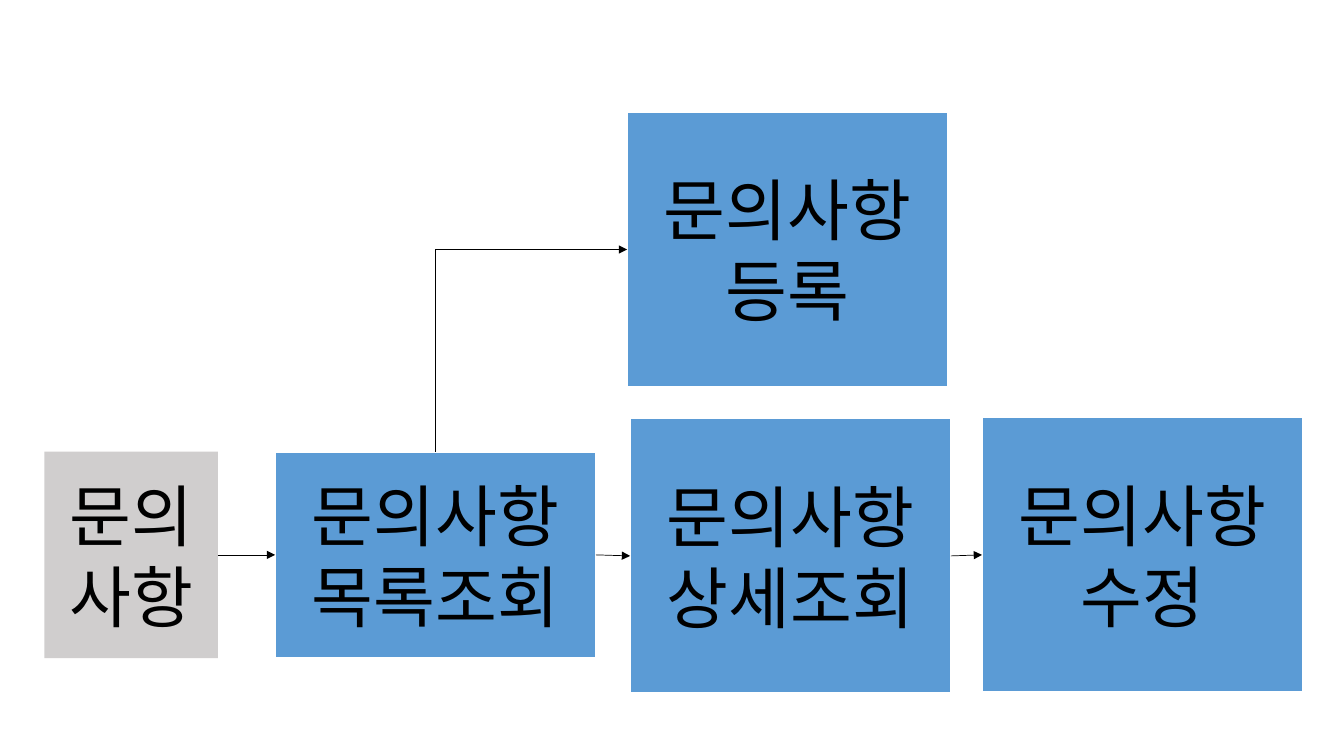
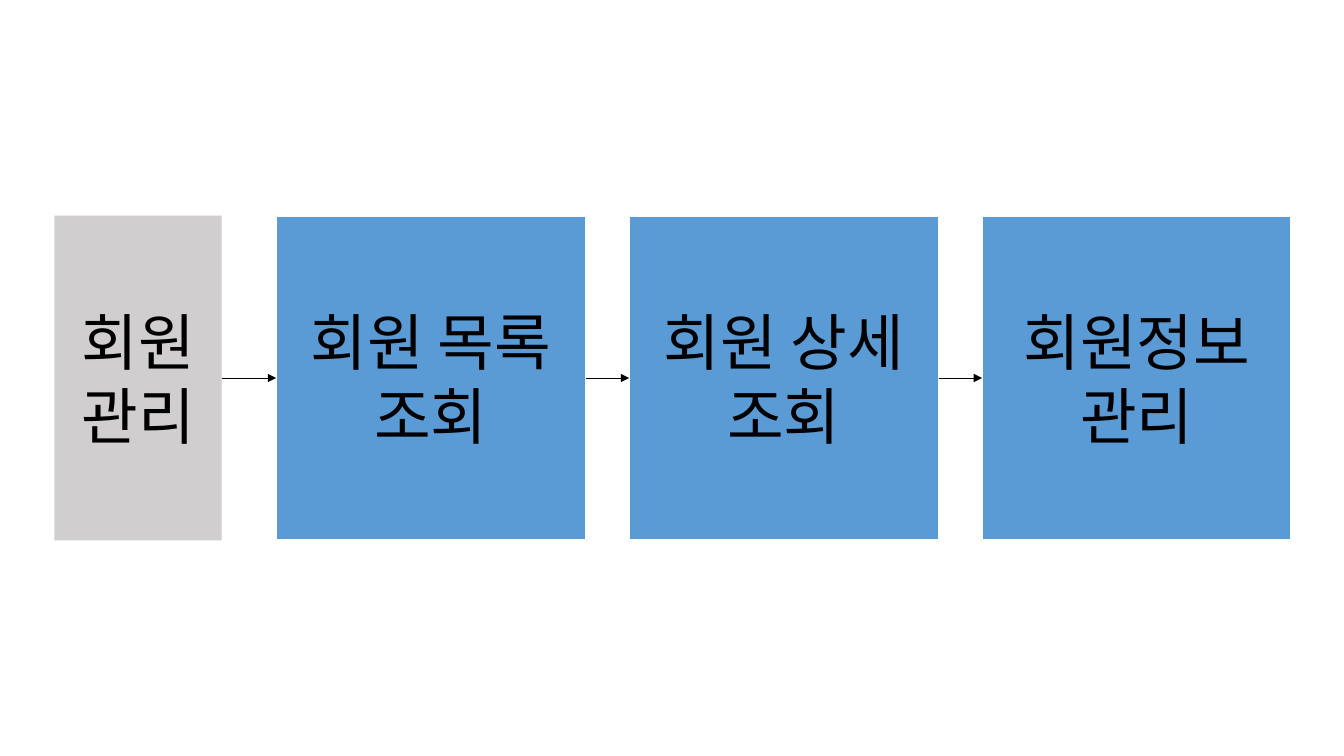
import pptx
import pptx.util
import pptx.dml.color
import pptx.enum.shapes
import pptx.enum.text
import pptx.oxml
import pptx.oxml.ns

PX = 9144
FONT = "Noto Sans CJK KR"
COLORS = {"menu": "D0CECE", "page": "5B9BD5", "edge": "FFFFFF", "ink": "000000"}
TOP, LEFT, RIGHT = 0, 1, 3

SLIDES = [
    {
        "size": 48,
        "boxes": {
            "menu": ("문의사항", "menu", 44, 448, 172, 205),
            "list": ("문의사항 목록조회", "page", 273, 448, 318, 205),
            "detail": ("문의사항\n상세조회", "page", 625, 415, 318, 273),
            "register": ("문의사항 등록", "page", 622, 111, 318, 273),
            "edit": ("문의사항\n수정", "page", 974, 414, 318, 273),
        },
        "arrows": [("menu", "list"), ("list", "detail"), ("detail", "edit")],
        "elbows": [("list", "register")],
    },
    {
        "size": 44,
        "boxes": {
            "menu": ("회원관리", "menu", 54, 214, 166, 322),
            "list": ("회원 목록 조회", "page", 274, 214, 307, 322),
            "detail": ("회원 상세 조회", "page", 624, 214, 307, 322),
            "manage": ("회원정보 관리", "page", 974, 214, 307, 322),
        },
        "arrows": [("menu", "list"), ("list", "detail"), ("detail", "manage")],
        "elbows": [],
    },
]


def rgb(name):
    return pptx.dml.color.RGBColor.from_string(COLORS[name])


def add_child(parent, tag, **attrs):
    child = pptx.oxml.parse_xml(f"<{tag} {pptx.oxml.ns.nsdecls('a')}/>")
    for key, value in attrs.items():
        child.set(key, value)
    parent.append(child)


def add_box(s, size, text, kind, *frame):
    sp = s.shapes.add_shape(
        pptx.enum.shapes.MSO_SHAPE.RECTANGLE, *(v * PX for v in frame)
    )
    sp.shadow.inherit = False
    sp.fill.solid()
    sp.fill.fore_color.rgb = rgb(kind)
    if kind == "menu":
        sp.line.fill.background()
    else:
        sp.line.color.rgb = rgb("edge")
        sp.line.width = pptx.util.Pt(1.5)
    tf = sp.text_frame
    tf.word_wrap = True
    tf.vertical_anchor = pptx.enum.text.MSO_ANCHOR.MIDDLE
    tf.text = text
    for p in tf.paragraphs:
        p.alignment = pptx.enum.text.PP_ALIGN.CENTER
        p.font.size = pptx.util.Pt(size)
        p.font.color.rgb = rgb("ink")
        p.font.name = FONT
        add_child(p._p.get_or_add_pPr().get_or_add_defRPr(), "a:ea", typeface=FONT)
    return sp


def style_arrow(c):
    c.line.color.rgb = rgb("ink")
    c.line.width = pptx.util.Pt(0.5)
    add_child(c.line._get_or_add_ln(), "a:tailEnd", type="triangle")
    add_child(c._element.spPr, "a:effectLst")


def add_arrow(s, start, end):
    c = s.shapes.add_connector(pptx.enum.shapes.MSO_CONNECTOR.STRAIGHT, 0, 0, 0, 0)
    c.begin_connect(start, RIGHT)
    c.end_connect(end, LEFT)
    style_arrow(c)


def add_elbow(s, start, end):
    x1, y1 = start.left + start.width // 2, start.top
    x2, y2 = end.left, end.top + end.height // 2
    cx, cy = (x1 + x2) // 2, (y1 + y2) // 2
    dx, dy = (y1 - y2) // 2, (x2 - x1) // 2
    c = s.shapes.add_connector(
        pptx.enum.shapes.MSO_CONNECTOR.ELBOW, cx + dx, cy + dy, cx - dx, cy - dy
    )
    spPr = c._element.spPr
    spPr.find(pptx.oxml.ns.qn("a:xfrm")).set("rot", str(90 * 60000))
    spPr.find(pptx.oxml.ns.qn("a:prstGeom")).set("prst", "bentConnector2")
    style_arrow(c)


def main():
    prs = pptx.Presentation()
    prs.slide_width, prs.slide_height = 1333 * PX, 750 * PX
    for flow in SLIDES:
        s = prs.slides.add_slide(prs.slide_layouts[6])
        boxes = {
            name: add_box(s, flow["size"], *box) for name, box in flow["boxes"].items()
        }
        for start, end in flow["arrows"]:
            add_arrow(s, boxes[start], boxes[end])
        for start, end in flow["elbows"]:
            add_elbow(s, boxes[start], boxes[end])
    prs.save("out.pptx")


if __name__ == "__main__":
    main()
